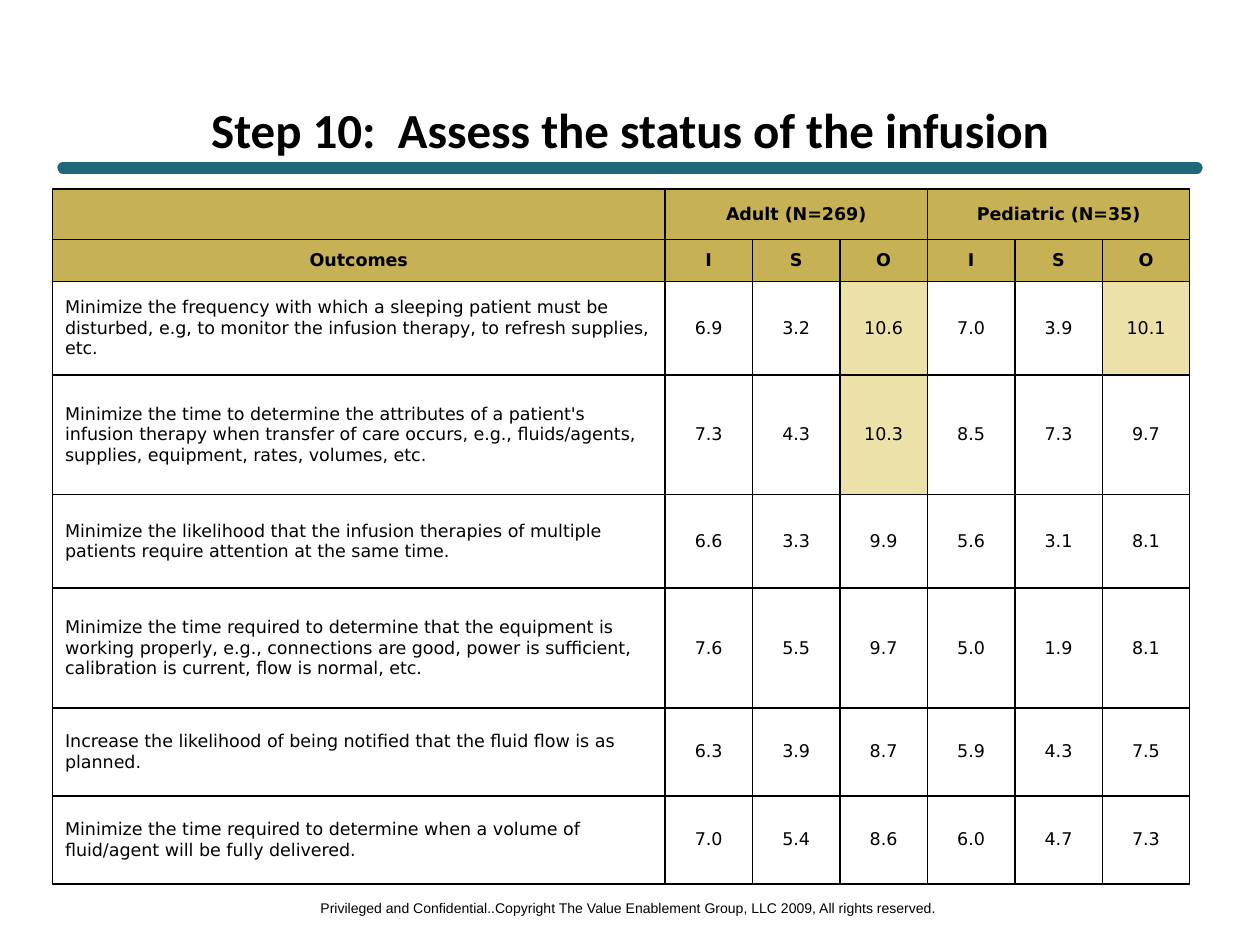
from lxml import etree
from pptx import Presentation
from pptx.dml.color import RGBColor
from pptx.enum import shapes, text
from pptx.oxml import ns
from pptx.util import Pt

BLACK, TEAL, GOLD, PALE_GOLD = "000000", "216778", "C6B154", "ECE2A9"
CENTER, LEFT = text.PP_ALIGN.CENTER, text.PP_ALIGN.LEFT

OUTCOME_WIDTH, SCORE_WIDTH = 350, 50
ROW_HEIGHTS = [24, 24, 53.4, 68.5, 53.4, 68.5, 50.3, 50.3]
HIGHLIGHT_ABOVE = 10
GROUPS = ["Adult (N=269)", "Pediatric (N=35)"]
MEASURES = ["I", "S", "O"]
OUTCOMES = [
    ("Minimize the frequency with which a sleeping patient must be disturbed, "
     "e.g, to monitor the infusion therapy, to refresh supplies, etc.",
     [6.9, 3.2, 10.6, 7.0, 3.9, 10.1]),
    ("Minimize the time to determine the attributes of a patient's infusion "
     "therapy when transfer of care occurs, e.g., fluids/agents, supplies, "
     "equipment, rates, volumes, etc.",
     [7.3, 4.3, 10.3, 8.5, 7.3, 9.7]),
    ("Minimize the likelihood that the infusion therapies of multiple patients "
     "require attention at the same time.",
     [6.6, 3.3, 9.9, 5.6, 3.1, 8.1]),
    ("Minimize the time required to determine that the equipment is working "
     "properly, e.g., connections are good, power is sufficient, calibration "
     "is current, flow is normal, etc.",
     [7.6, 5.5, 9.7, 5.0, 1.9, 8.1]),
    ("Increase the likelihood of being notified that the fluid flow is as planned.",
     [6.3, 3.9, 8.7, 5.9, 4.3, 7.5]),
    ("Minimize the time required to determine when a volume of fluid/agent "
     "will be fully delivered.",
     [7.0, 5.4, 8.6, 6.0, 4.7, 7.3]),
]


def color(value):
    return RGBColor.from_string(value)


def write(frame, words, align=CENTER, **formats):
    para = frame.paragraphs[0]
    para.alignment = align
    span = para.add_run()
    span.text = words
    for name, value in formats.items():
        setattr(span.font, name, value)
    span.font.color.rgb = color(BLACK)


def add_label(page, words, left, top, width, height, wrap=True, **formats):
    box = page.shapes.add_textbox(Pt(left), Pt(top), Pt(width), Pt(height))
    frame = box.text_frame
    frame.word_wrap = wrap
    frame.vertical_anchor = text.MSO_ANCHOR.MIDDLE
    write(frame, words, **formats)


def add_rule(page, left, right, y, weight):
    rule = page.shapes.add_connector(
        shapes.MSO_CONNECTOR.STRAIGHT, Pt(left), Pt(y), Pt(right), Pt(y))
    rule.line.color.rgb = color(TEAL)
    rule.line.width = Pt(weight)
    rule.line._get_or_add_ln().set("cap", "rnd")
    etree.SubElement(rule._element.spPr, ns.qn("a:effectLst"))


def add_borders(cell):
    properties = cell._tc.get_or_add_tcPr()
    for side in ("lnL", "lnR", "lnT", "lnB"):
        line = etree.SubElement(properties, ns.qn(f"a:{side}"), w=str(Pt(1)))
        fill = etree.SubElement(line, ns.qn("a:solidFill"))
        etree.SubElement(fill, ns.qn("a:srgbClr"), val=BLACK)


def fill_cell(cell, words="", fill=None, align=CENTER, bold=False):
    cell.vertical_anchor = text.MSO_ANCHOR.MIDDLE
    if fill:
        cell.fill.solid()
        cell.fill.fore_color.rgb = color(fill)
    else:
        cell.fill.background()
    if words:
        write(cell.text_frame, words, align,
              name="DejaVu Sans", size=Pt(10), bold=bold)


def add_scores(page, left, top):
    score_count = len(GROUPS) * len(MEASURES)
    widths = [OUTCOME_WIDTH] + [SCORE_WIDTH] * score_count
    table = page.shapes.add_table(
        len(ROW_HEIGHTS), len(widths), Pt(left), Pt(top),
        Pt(sum(widths)), Pt(sum(ROW_HEIGHTS))).table
    table.first_row = table.horz_banding = False
    for column, width in zip(table.columns, widths):
        column.width = Pt(width)
    for row, height in zip(table.rows, ROW_HEIGHTS):
        row.height = Pt(height)
    for cell in table.iter_cells():
        add_borders(cell)

    # Patient groups, each over its three measures
    fill_cell(table.cell(0, 0), fill=GOLD)
    for index, group in enumerate(GROUPS):
        first = 1 + index * len(MEASURES)
        cell = table.cell(0, first)
        cell.merge(table.cell(0, first + len(MEASURES) - 1))
        fill_cell(cell, group, GOLD, bold=True)

    # Column headings
    for column, heading in enumerate(["Outcomes"] + MEASURES * len(GROUPS)):
        fill_cell(table.cell(1, column), heading, GOLD, bold=True)

    # Outcomes, with high scores highlighted
    for row, (outcome, scores) in enumerate(OUTCOMES, start=2):
        fill_cell(table.cell(row, 0), outcome, align=LEFT)
        for column, score in enumerate(scores, start=1):
            fill = PALE_GOLD if score > HIGHLIGHT_ABOVE else None
            fill_cell(table.cell(row, column), f"{score:.1f}", fill)


def main():
    deck = Presentation()
    deck.slide_width, deck.slide_height = Pt(720), Pt(540)
    page = deck.slides.add_slide(deck.slide_layouts[6])

    # Heading
    add_rule(page, 36, 684, 96, 6.5)
    add_label(page, "Step 10:  Assess the status of the infusion",
              36, 60, 648, 27, name="Calibri", size=Pt(28), bold=True)

    # Scores
    add_scores(page, 30, 108)

    # Footer
    add_label(page, "Privileged and Confidential..Copyright The Value Enablement "
              "Group, LLC 2009, All rights reserved.",
              173.5, 510.5, 371.5, 17, wrap=False, name="Arial", size=Pt(8))

    deck.save("out.pptx")


if __name__ == "__main__":
    main()
